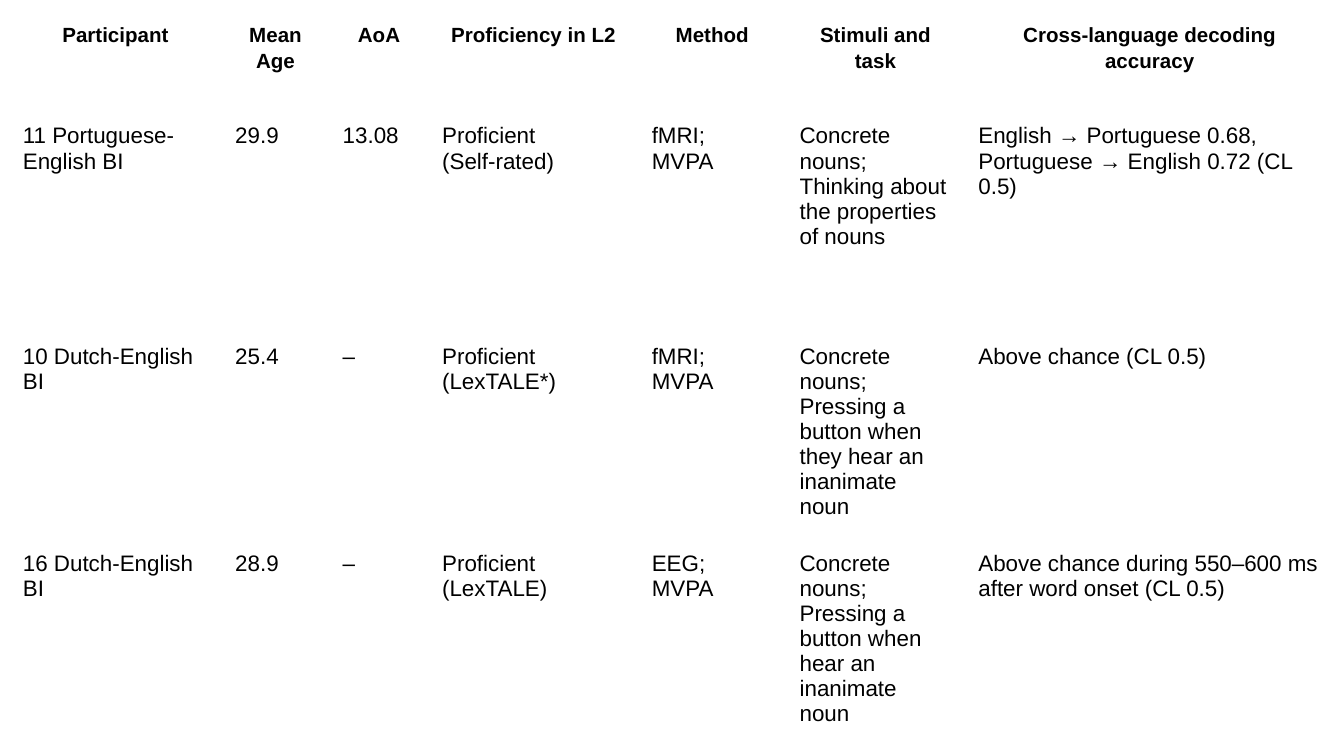
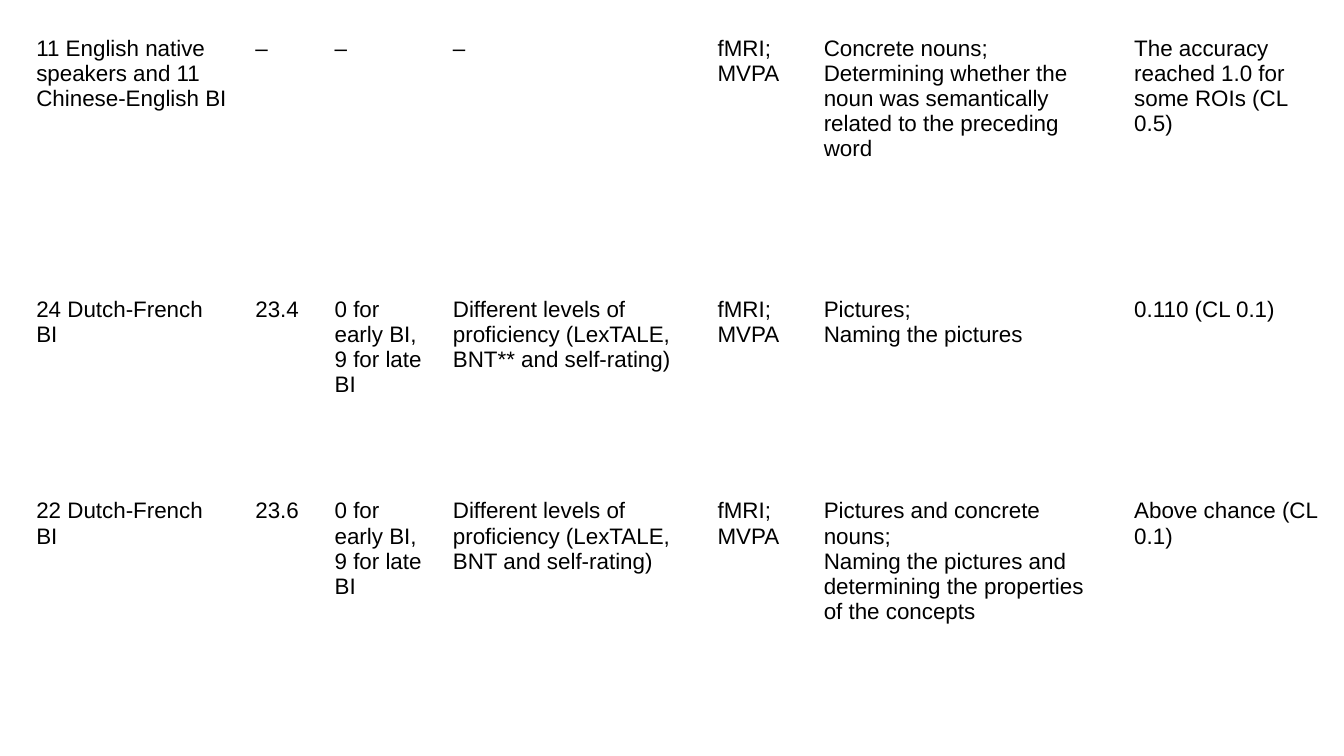
from dataclasses import dataclass
from itertools import groupby

from pptx import Presentation
from pptx import util as u
from pptx.dml.color import RGBColor
from pptx.enum import text


@dataclass(frozen=True)
class Theme:
    font: str = "Arial"
    ink: RGBColor = RGBColor(0x00, 0x00, 0x00)
    paper: RGBColor = RGBColor(0xFF, 0xFF, 0xFF)
    header_size: int = 11
    body_size: int = 12
    header_spacing: float = 1.15
    cell_margin: float = 0.1


@dataclass(frozen=True)
class StudyTable:
    """A borderless table of studies; lengths are in inches."""
    left: float
    top: float
    columns: tuple[float, ...]
    heights: tuple[float, ...]
    rows: tuple[tuple[str, ...], ...]
    has_header: bool = False


THEME = Theme()
SLIDE_WIDTH = u.Inches(10)
SLIDE_HEIGHT = SLIDE_WIDTH * 9 // 16
ARROW = "→"
FMRI = "fMRI;\nMVPA"
LATE_LEARNERS = "0 for early BI, 9 for late BI"

# Content: a line break inside a cell starts a new paragraph
TABLES = (
    StudyTable(
        left=0.07, top=0.05,
        columns=(1.58, 0.8, 0.74, 1.56, 1.1, 1.33, 2.75),
        heights=(0.77, 1.64, 1.54, 1.54),
        has_header=True,
        rows=(
            ("Participant", "Mean Age", "AoA", "Proficiency in L2", "Method",
             "Stimuli and task", "Cross-language decoding accuracy"),
            ("11 Portuguese-English BI", "29.9", "13.08",
             "Proficient\n(Self-rated)", FMRI,
             "Concrete nouns;\nThinking about the properties of nouns",
             "English → Portuguese 0.68, Portuguese → English 0.72 (CL 0.5)"),
            ("10 Dutch-English BI", "25.4", "–", "Proficient (LexTALE*)", FMRI,
             "Concrete nouns;\nPressing a button when they hear an inanimate noun",
             "Above chance (CL 0.5)"),
            ("16 Dutch-English BI", "28.9", "–", "Proficient (LexTALE)",
             "EEG;\nMVPA",
             "Concrete nouns;\nPressing a button when hear an inanimate noun",
             "Above chance during 550–600 ms after word onset (CL 0.5)"),
        ),
    ),
    StudyTable(
        left=0.17, top=0.17,
        columns=(1.63, 0.59, 0.88, 1.97, 0.79, 2.31, 1.58),
        heights=(1.94, 1.5, 1.94),
        rows=(
            ("11 English native speakers and 11 Chinese-English BI",
             "–", "–", "–", FMRI,
             "Concrete nouns;\nDetermining whether the noun was semantically "
             "related to the preceding word",
             "The accuracy reached 1.0 for some ROIs (CL 0.5)"),
            ("24 Dutch-French BI", "23.4", LATE_LEARNERS,
             "Different levels of proficiency (LexTALE, BNT** and self-rating)",
             FMRI, "Pictures;\nNaming the pictures", "0.110 (CL 0.1)"),
            ("22 Dutch-French BI", "23.6", LATE_LEARNERS,
             "Different levels of proficiency (LexTALE, BNT and self-rating)",
             FMRI,
             "Pictures and concrete nouns;\nNaming the pictures and "
             "determining the properties of the concepts",
             "Above chance (CL 0.1)"),
        ),
    ),
)


def apply_format(target, values: dict) -> None:
    for name, value in values.items():
        setattr(target, name, value)


def write_paragraph(paragraph, line: str, is_header: bool) -> None:
    """Write one line; arrows are set in bold runs of their own."""
    if is_header:
        apply_format(paragraph, {"alignment": text.PP_ALIGN.CENTER,
                                 "line_spacing": THEME.header_spacing})
    size = THEME.header_size if is_header else THEME.body_size
    for is_arrow, letters in groupby(line, key=lambda letter: letter == ARROW):
        run = paragraph.add_run()
        run.text = "".join(letters)
        apply_format(run.font, {"name": THEME.font, "size": u.Pt(size),
                                "bold": is_header or is_arrow})
        run.font.color.rgb = THEME.ink


def write_cell(cell, content: str, is_header: bool) -> None:
    cell.fill.background()
    margin = u.Inches(THEME.cell_margin)
    apply_format(cell, {f"margin_{side}": margin
                        for side in ("left", "right", "top", "bottom")})
    frame = cell.text_frame
    for index, line in enumerate(content.split("\n")):
        paragraph = frame.add_paragraph() if index else frame.paragraphs[0]
        write_paragraph(paragraph, line, is_header)


def draw_table(slide, study: StudyTable) -> None:
    table = slide.shapes.add_table(
        len(study.heights), len(study.columns),
        u.Inches(study.left), u.Inches(study.top),
        u.Inches(sum(study.columns)), u.Inches(sum(study.heights))).table
    apply_format(table, {"first_row": False, "horz_banding": False})
    for column, width in zip(table.columns, study.columns):
        column.width = u.Inches(width)
    for index, (row, height) in enumerate(zip(table.rows, study.heights)):
        row.height = u.Inches(height)
        for cell, content in zip(row.cells, study.rows[index]):
            write_cell(cell, content, study.has_header and index == 0)


def main() -> None:
    presentation = Presentation()
    apply_format(presentation, {"slide_width": SLIDE_WIDTH,
                                "slide_height": SLIDE_HEIGHT})
    # One slide for each table
    for study in TABLES:
        slide = presentation.slides.add_slide(presentation.slide_layouts[6])
        slide.background.fill.solid()
        slide.background.fill.fore_color.rgb = THEME.paper
        draw_table(slide, study)
    presentation.save("out.pptx")


if __name__ == "__main__":
    main()
